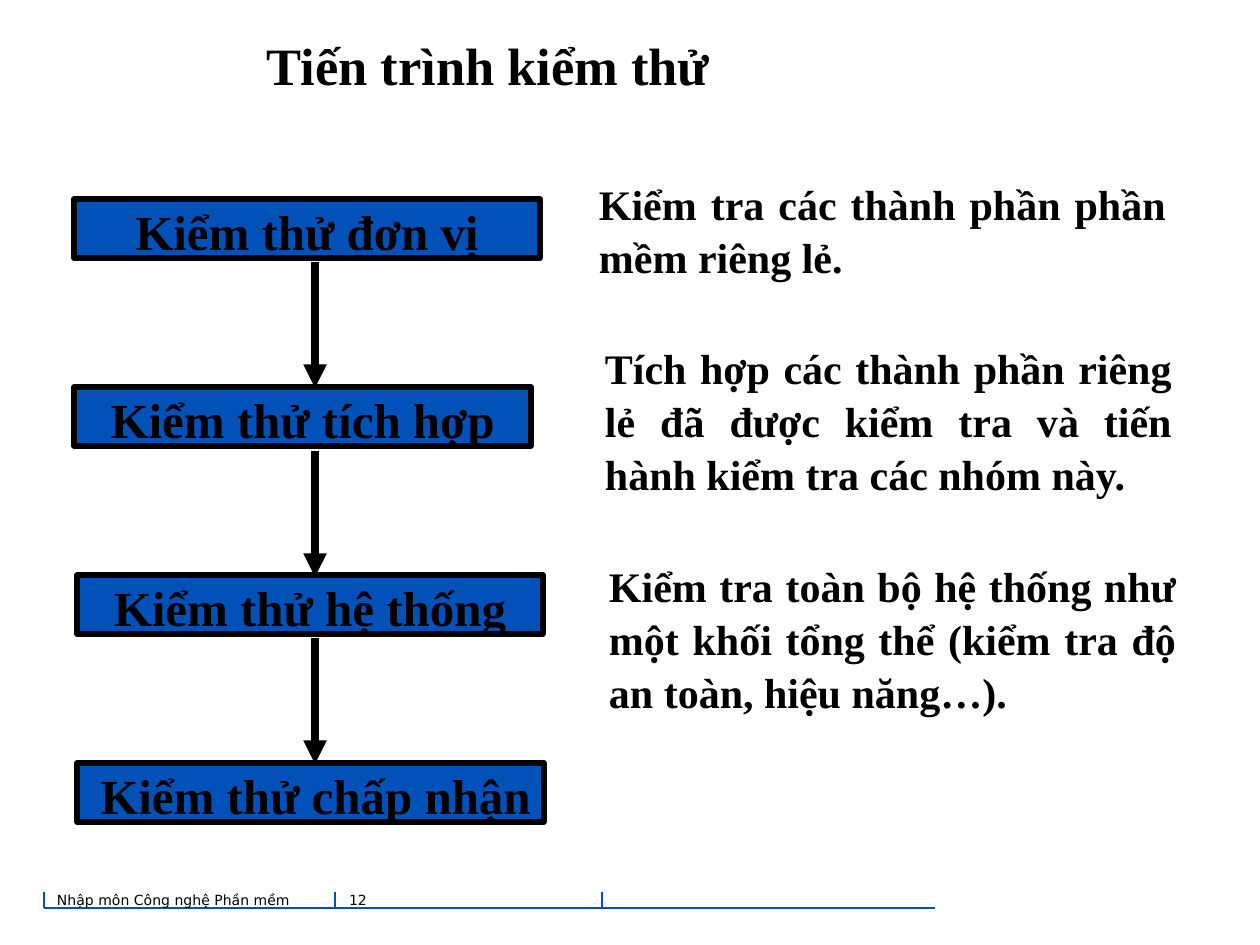
from lxml.etree import SubElement
from pptx import Presentation
from pptx.dml.color import RGBColor
from pptx.enum.shapes import MSO_CONNECTOR, MSO_SHAPE
from pptx.enum.text import MSO_ANCHOR, PP_ALIGN
from pptx.oxml.ns import qn
from pptx.util import Pt

EMU_PER_PX = 914400 / 126
BLUE, BLACK = "0251B8", "000000"
SERIF, SANS = "Times New Roman", "DejaVu Sans"


def px(n):
    return round(n * EMU_PER_PX)


def color(value):
    return RGBColor.from_string(value)


def write(sp, text, size, font=SERIF, bold=True, align=PP_ALIGN.LEFT,
          anchor=MSO_ANCHOR.TOP, inset=0, wrap=True, spacing=1.05):
    tf = sp.text_frame
    tf.word_wrap = wrap
    tf.vertical_anchor = anchor
    tf.margin_left = tf.margin_right = px(inset)
    tf.margin_top = tf.margin_bottom = px(inset)
    p = tf.paragraphs[0]
    p.alignment = align
    p.line_spacing = spacing
    r = p.add_run()
    r.text = text
    r.font.name = font
    r.font.size = Pt(size)
    r.font.bold = bold
    r.font.color.rgb = color(BLACK)
    return tf


def add_text(s, x, y, w, h, text, size, **style):
    sp = s.shapes.add_textbox(px(x), px(y), px(w), px(h))
    write(sp, text, size, **style)


def add_line(s, x1, y1, x2, y2, line_color, width, arrow=False):
    sp = s.shapes.add_connector(MSO_CONNECTOR.STRAIGHT, px(x1), px(y1), px(x2), px(y2))
    sp.line.color.rgb = color(line_color)
    sp.line.width = Pt(width)
    if arrow:
        SubElement(sp.line._get_or_add_ln(), qn("a:tailEnd"), type="triangle")
    SubElement(sp._element.spPr, qn("a:effectLst"))


def add_footer(s, x, y, w, h):
    add_line(s, x + w, y + h, x, y + h, BLUE, 0.75)
    for dx in (0, 291, 558):
        add_line(s, x + dx, y + h, x + dx, y, BLUE, 0.75)
    for dx, width, text in ((8, 276, "Nhập môn Công nghệ Phần mềm"), (300, 158, "12")):
        add_text(s, x + dx, y - 6, width, 32, text, 8,
                 font=SANS, bold=False, inset=5, spacing=1)


def add_title(s, x, y, w, h):
    add_text(s, x, y, w, h, "Tiến trình kiểm thử", 30,
             align=PP_ALIGN.CENTER, anchor=MSO_ANCHOR.MIDDLE)


def add_flow(s, x, y, step, h):
    stages = [
        ("Kiểm thử đơn vị", 0, 466, 0),
        ("Kiểm thử tích hợp", 0, 457, 0),
        ("Kiểm thử hệ thống", 3, 466, 0),
        ("Kiểm thử chấp nhận", 3, 467, 10),
    ]
    for i, (text, dx, w, indent) in enumerate(stages):
        sp = s.shapes.add_shape(MSO_SHAPE.RECTANGLE, px(x + dx), px(y + i * step), px(w), px(h))
        sp.shadow.inherit = False
        sp.fill.solid()
        sp.fill.fore_color.rgb = color(BLUE)
        sp.line.color.rgb = color(BLACK)
        sp.line.width = Pt(3)
        tf = write(sp, text, 28, align=PP_ALIGN.CENTER, wrap=False)
        tf.margin_left = px(indent)
    for dy in (63, 252, 439):
        add_line(s, x + 241, y + dy, x + 241, y + dy + 126, BLACK, 4.5, arrow=True)


def add_notes_column(s, x, y, w):
    notes = [
        (0, 0, 105, "Kiểm tra các thành phần phần mềm riêng lẻ."),
        (6, 164, 168, "Tích hợp các thành phần riêng lẻ đã được kiểm tra "
                      "và tiến hành kiểm tra các nhóm này."),
        (10, 382, 158, "Kiểm tra toàn bộ hệ thống như một khối tổng thể "
                       "(kiểm tra độ an toàn, hiệu năng…)."),
    ]
    for dx, dy, h, text in notes:
        add_text(s, x + dx, y + dy, w, h, text, 24, align=PP_ALIGN.JUSTIFY)


def main():
    prs = Presentation()
    prs.slide_width, prs.slide_height = px(1260), px(945)
    s = prs.slides.add_slide(prs.slide_layouts[6])
    add_footer(s, 44, 892, 891, 16)
    add_title(s, 21, 9, 935, 107)
    add_flow(s, 74, 199, 188, 59)
    add_notes_column(s, 599, 176, 567)
    prs.save("out.pptx")


if __name__ == "__main__":
    main()
